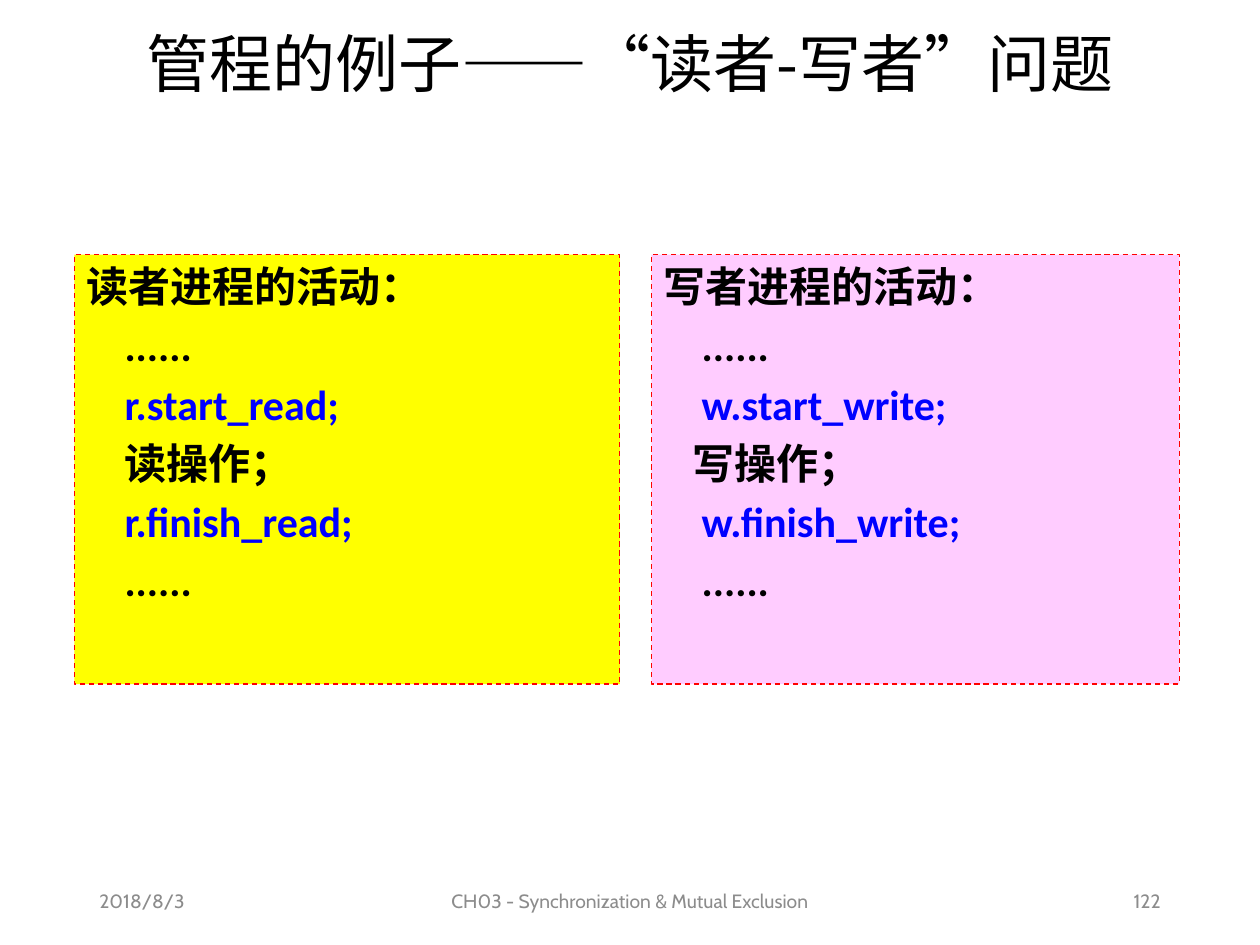
"""Build the reader-writer monitor slide."""
from pptx import Presentation
from pptx.dml.color import RGBColor as RGB
from pptx.enum.dml import MSO_LINE
from pptx.enum.shapes import MSO_SHAPE as SHAPE
from pptx.enum.text import MSO_ANCHOR as ANCHOR, PP_ALIGN as ALIGN
from pptx.oxml.ns import qn
from pptx.util import Inches, Pt
from lxml.etree import SubElement

BLACK = RGB(0, 0, 0)
BLUE = RGB(0, 0, 255)
RED = RGB(255, 0, 0)
GRAY = RGB(0x8C, 0x8C, 0x8C)
YELLOW = RGB(255, 255, 0)
PINK = RGB(0xFF, 0xCC, 0xFF)
CJK = "Noto Sans CJK SC"

TITLE = "管程的例子——“读者-写者”问题"
FOOTER = [
    ("2018/8/3", 0.69, 2.25, ALIGN.LEFT),
    ("CH03 - Synchronization & Mutual Exclusion", 3.31, 3.38, ALIGN.CENTER),
    ("122", 7.06, 2.25, ALIGN.RIGHT),
]
PANELS = [
    (0.59, 4.33, YELLOW, 0.3, [
        ("读者进程的活动：", BLACK), ("......", BLACK), ("r.start_read;", BLUE),
        ("读操作；", BLACK), ("r.finish_read;", BLUE), ("......", BLACK)]),
    (5.17, 4.19, PINK, 0.23, [
        ("写者进程的活动：", BLACK), ("......", BLACK), ("w.start_write;", BLUE),
        ("写操作；", BLACK), ("w.finish_write;", BLUE), ("......", BLACK)]),
]
INDENT = 0.3


def style(para, name, size, color, bold=False):
    font = para.font
    font.name, font.size, font.bold = name, Pt(size), bold
    font.color.rgb = color
    props = para._p.pPr.find(qn("a:defRPr"))
    SubElement(props, qn("a:ea")).set("typeface", CJK)


def add_title(slide):
    title = slide.shapes.title
    title.left, title.top = Inches(0.69), Inches(0.15)
    title.width, title.height = Inches(8.62), Inches(0.76)
    frame = title.text_frame
    frame.text = TITLE
    frame.vertical_anchor = ANCHOR.MIDDLE
    para = frame.paragraphs[0]
    para.alignment = ALIGN.CENTER
    para.line_spacing = 0.9
    style(para, CJK, 36, BLACK)


def add_footer(slide, text, left, width, align):
    box = slide.shapes.add_textbox(
        Inches(left), Inches(6.95), Inches(width), Inches(0.4))
    frame = box.text_frame
    frame.word_wrap = True
    frame.vertical_anchor = ANCHOR.MIDDLE
    frame.text = text
    para = frame.paragraphs[0]
    para.alignment = align
    style(para, "Cabin", 11, GRAY)


def add_panel(slide, left, width, fill, inset, lines):
    box = slide.shapes.add_shape(
        SHAPE.RECTANGLE, Inches(left), Inches(2.02), Inches(width), Inches(3.41))
    box.shadow.inherit = False
    box.fill.solid()
    box.fill.fore_color.rgb = fill
    box.line.color.rgb = RED
    box.line.width = Pt(0.75)
    box.line.dash_style = MSO_LINE.DASH
    frame = box.text_frame
    frame.word_wrap = True
    frame.vertical_anchor = ANCHOR.TOP
    frame.text = "\n".join(text for text, _ in lines)
    for row, (para, (text, color)) in enumerate(zip(frame.paragraphs, lines)):
        para.alignment = ALIGN.LEFT
        if row:
            para.space_before = Pt(4.8)
            indent = inset if text.endswith("操作；") else INDENT
            para._p.get_or_add_pPr().set("marL", str(Inches(indent)))
        style(para, "Calibri", 24, color, True)


def main():
    deck = Presentation()
    deck.slide_width, deck.slide_height = Inches(10), Inches(7.5)
    slide = deck.slides.add_slide(deck.slide_layouts[5])
    add_title(slide)
    for item in FOOTER:
        add_footer(slide, *item)
    for panel in PANELS:
        add_panel(slide, *panel)
    deck.save("out.pptx")


if __name__ == "__main__":
    main()
